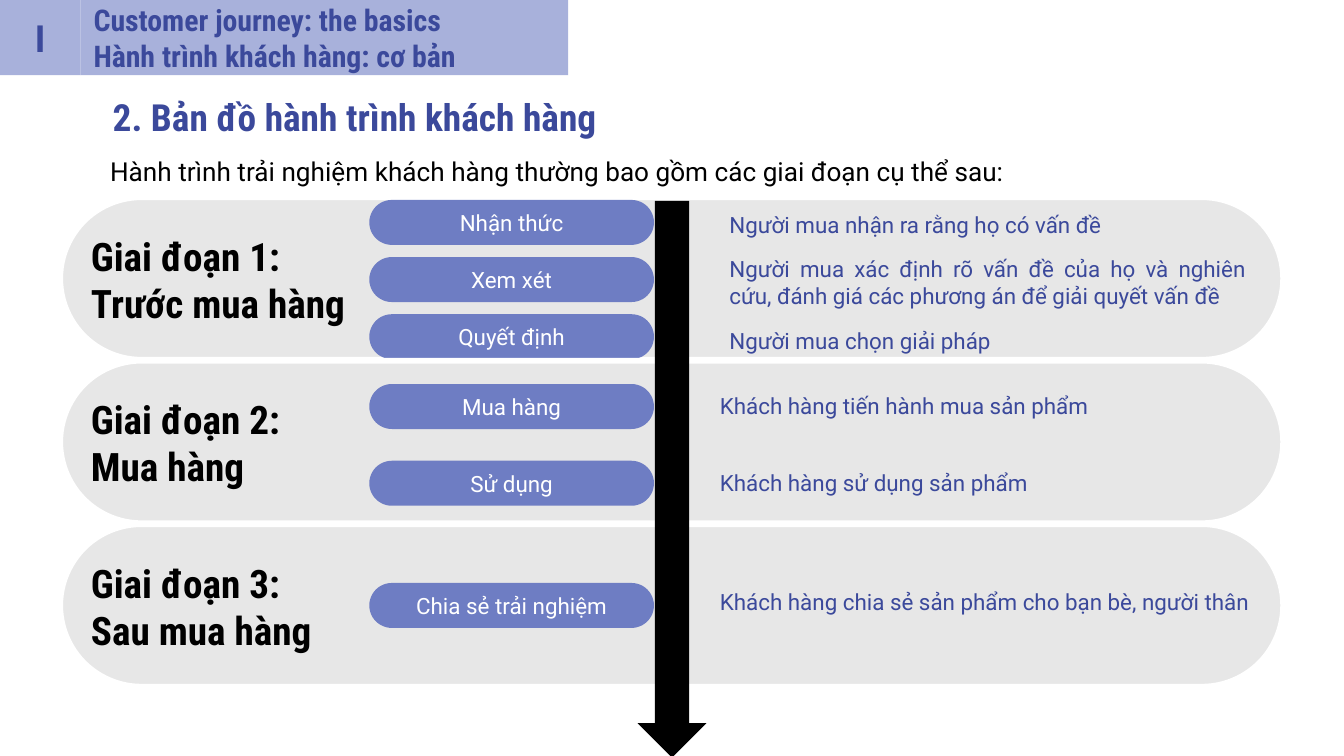
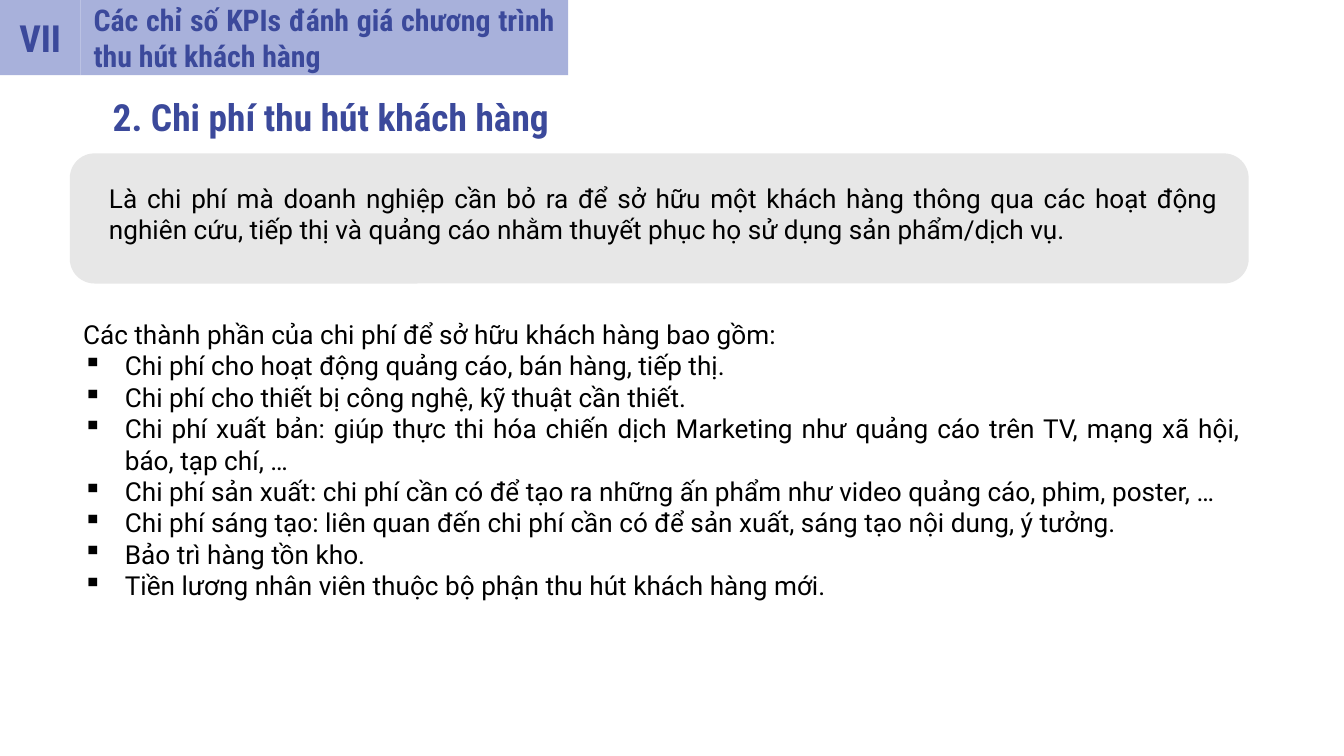
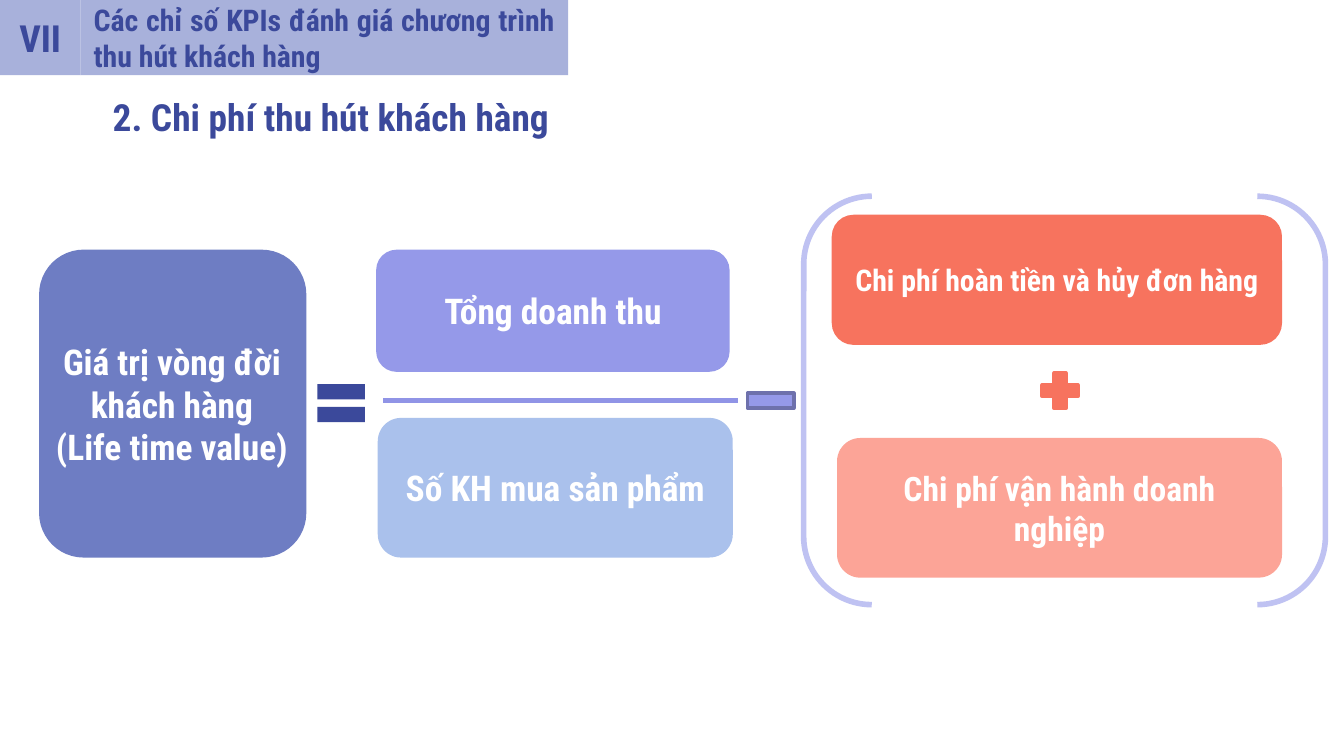
from lxml import etree
from pptx import Presentation
from pptx.dml.color import RGBColor
from pptx.enum.shapes import MSO_CONNECTOR, MSO_SHAPE
from pptx.enum.text import MSO_ANCHOR, MSO_AUTO_SIZE, PP_ALIGN
from pptx.oxml.ns import qn
from pptx.util import Cm, Pt

RECTANGLE, ROUNDED = MSO_SHAPE.RECTANGLE, MSO_SHAPE.ROUNDED_RECTANGLE
LEFT, CENTER, JUSTIFY = PP_ALIGN.LEFT, PP_ALIGN.CENTER, PP_ALIGN.JUSTIFY
MIDDLE, TOP = MSO_ANCHOR.MIDDLE, MSO_ANCHOR.TOP
BODY_FONT, HEADING_FONT = "Roboto", "Roboto Condensed"

NAVY, INDIGO, HEADER, VIOLET = "3B499B", "6E7DC3", "A8B1DB", "9599E9"
SKY, CORAL, SALMON = "AAC1EC", "F7735E", "FCA497"
GREY, BLACK, WHITE = "E7E7E7", "000000", "FFFFFF"

# Content: all positions and lengths are in centimetres
KPI_HEADER = ("VII", ["Các chỉ số KPIs đánh giá chương trình thu hút khách hàng"])
KPI_TITLE = "2. Chi phí thu hút khách hàng"

JOURNEY_HEADER = ("I", ["Customer journey: the basics", "Hành trình khách hàng: cơ bản"])
JOURNEY_TITLE = "2. Bản đồ hành trình khách hàng"
JOURNEY_INTRO = "Hành trình trải nghiệm khách hàng thường bao gồm các giai đoạn cụ thể sau:"
STAGES = [
    {"name": ["Giai đoạn 1:", "Trước mua hàng"],
     "pill_top": 3.78, "pill_step": 1.08,
     "note_left": 13.41, "note_top": 3.81, "note_width": 10.52, "note_step": 1.1,
     "steps": [
         ("Nhận thức", "Người mua nhận ra rằng họ có vấn đề"),
         ("Xem xét", "Người mua xác định rõ vấn đề của họ và nghiên cứu, "
                     "đánh giá các phương án để giải quyết vấn đề"),
         ("Quyết định", "Người mua chọn giải pháp")]},
    {"name": ["Giai đoạn 2:", "Mua hàng"],
     "pill_top": 7.26, "pill_step": 1.45,
     "note_left": 13.23, "note_top": 7.24, "note_width": 10.69, "note_step": 1.45,
     "steps": [
         ("Mua hàng", "Khách hàng tiến hành mua sản phẩm"),
         ("Sử dụng", "Khách hàng sử dụng sản phẩm")]},
    {"name": ["Giai đoạn 3:", "Sau mua hàng"],
     "pill_top": 11.02, "pill_step": 0,
     "note_left": 13.23, "note_top": 10.95, "note_width": 10.82, "note_step": 0,
     "steps": [
         ("Chia sẻ trải nghiệm", "Khách hàng chia sẻ sản phẩm cho bạn bè, người thân")]},
]

COST_DEFINITION = ("Là chi phí mà doanh nghiệp cần bỏ ra để sở hữu một khách hàng thông qua "
                   "các hoạt động nghiên cứu, tiếp thị và quảng cáo nhằm thuyết phục họ sử dụng "
                   "sản phẩm/dịch vụ.")
COST_LEAD = "Các thành phần của chi phí để sở hữu khách hàng bao gồm:"
COST_PARTS = [
    "Chi phí cho hoạt động quảng cáo, bán hàng, tiếp thị.",
    "Chi phí cho thiết bị công nghệ, kỹ thuật cần thiết.",
    "Chi phí xuất bản: giúp thực thi hóa chiến dịch Marketing như quảng cáo trên TV, "
    "mạng xã hội, báo, tạp chí, …",
    "Chi phí sản xuất: chi phí cần có để tạo ra những ấn phẩm như video quảng cáo, "
    "phim, poster, …",
    "Chi phí sáng tạo: liên quan đến chi phí cần có để sản xuất, sáng tạo nội dung, ý tưởng.",
    "Bảo trì hàng tồn kho.",
    "Tiền lương nhân viên thuộc bộ phận thu hút khách hàng mới.",
]

LIFETIME_VALUE = ["Giá trị vòng đời khách hàng", "(Life time value)"]
# text, box, fill, text size
FORMULA_TERMS = [
    ("Tổng doanh thu", (7.11, 4.72, 6.68, 2.31), VIOLET, 19),
    ("Số KH mua sản phẩm", (7.14, 7.9, 6.71, 2.64), SKY, 19),
    ("Chi phí hoàn tiền và hủy đơn hàng", (15.72, 4.06, 8.51, 2.46), CORAL, 16),
    ("Chi phí vận hành doanh nghiệp", (15.82, 8.28, 8.41, 2.64), SALMON, 18),
]
# preset, box, fill, line colour, line width
FORMULA_SIGNS = [
    (MSO_SHAPE.MATH_EQUAL, (5.84, 7.01, 1.22, 1.22), NAVY, None, 0),
    (MSO_SHAPE.MATH_MINUS, (13.97, 6.98, 1.19, 1.19), VIOLET, "6E71AC", 2),
    (MSO_SHAPE.MATH_PLUS, (19.58, 6.93, 0.91, 0.91), CORAL, CORAL, 2),
    (MSO_SHAPE.DOUBLE_BRACKET, (15.19, 3.71, 9.86, 7.72), None, "BFC2F2", 3),
]


def color(hex_code):
    return RGBColor.from_string(hex_code)


def write(shape, lines, size, ink, font=HEADING_FONT, align=LEFT, anchor=MIDDLE,
          insets=(0.25, 0.25, 0.25, 0.25), indent=0):
    frame = shape.text_frame
    frame.word_wrap = True
    frame.vertical_anchor = anchor
    (frame.margin_left, frame.margin_top,
     frame.margin_right, frame.margin_bottom) = map(Cm, insets)
    for index, line in enumerate(lines):
        paragraph = frame.paragraphs[0] if index == 0 else frame.add_paragraph()
        paragraph.text = line
        paragraph.alignment = align
        if indent:
            paragraph._p.get_or_add_pPr().set("marL", str(Cm(indent)))
        paragraph.font.name = font
        paragraph.font.size = Pt(size)
        paragraph.font.bold = font == HEADING_FONT
        paragraph.font.color.rgb = color(ink)
    return frame


def add_shape(slide, preset, box, fill=None, line=None, line_width=0, adjustment=None):
    shape = slide.shapes.add_shape(preset, *map(Cm, box))
    shape.shadow.inherit = False
    if fill:
        shape.fill.solid()
        shape.fill.fore_color.rgb = color(fill)
    else:
        shape.fill.background()
    if line:
        shape.line.color.rgb = color(line)
        shape.line.width = Pt(line_width)
    else:
        shape.line.fill.background()
    if adjustment is not None:
        shape.adjustments[0] = adjustment
    return shape


def add_text(slide, box, lines, size, ink, **style):
    return write(slide.shapes.add_textbox(*map(Cm, box)), lines, size, ink, **style)


def add_body(slide, box, text):
    add_text(slide, box, [text], 14, BLACK, font=BODY_FONT, align=JUSTIFY,
             insets=(0.51, 0.25, 0.38, 0.25), indent=0.43)


def add_bullet(paragraph):
    properties = paragraph._p.get_or_add_pPr()
    properties.set("marL", str(Cm(0.79)))
    properties.set("indent", str(Cm(-0.79)))
    bullet_color = etree.Element(qn("a:buClr"))
    etree.SubElement(bullet_color, qn("a:srgbClr")).set("val", BLACK)
    bullet = etree.Element(qn("a:buChar"))
    bullet.set("char", "▪")
    properties.insert(0, bullet_color)
    properties.insert(1, bullet)


def start_slide(presentation, header, title, title_width=19.38):
    slide = presentation.slides.add_slide(presentation.slide_layouts[6])
    number, lines = header
    write(add_shape(slide, RECTANGLE, (0, 0, 1.52, 1.42), HEADER), [number], 20, NAVY,
          align=CENTER)
    write(add_shape(slide, RECTANGLE, (1.52, 0, 9.22, 1.42), HEADER), lines, 16, NAVY,
          align=JUSTIFY)
    add_text(slide, (1.88, 1.6, title_width, 1.19), [title], 20, NAVY)
    return slide


def build_journey(presentation):
    slide = start_slide(presentation, JOURNEY_HEADER, JOURNEY_TITLE, 11.96)
    add_body(slide, (1.14, 2.74, 22.28, 0.97), JOURNEY_INTRO)

    # One band per stage, with its pills and notes
    for row, stage in enumerate(STAGES):
        top = 3.73 + row * 3.09
        add_shape(slide, ROUNDED, (1.14, top, 23.11, 3.07), GREY, WHITE, 3, 0.5)
        add_text(slide, (1.47, top + 1.12, 5.51, 0.86), stage["name"], 21, BLACK)
        for index, (name, note) in enumerate(stage["steps"]):
            pill_top = stage["pill_top"] + index * stage["pill_step"]
            pill = add_shape(slide, ROUNDED, (6.98, pill_top, 5.38, 0.85), INDIGO,
                             adjustment=0.5)
            write(pill, [name], 12, WHITE, font=BODY_FONT, align=CENTER)
            note_top = stage["note_top"] + index * stage["note_step"]
            note_box = add_shape(
                slide, ROUNDED,
                (stage["note_left"], note_top, stage["note_width"], 0.86), adjustment=0.5)
            write(note_box, [note], 12, NAVY, font=BODY_FONT, align=JUSTIFY)

    # Arrow through all stages
    arrow = add_shape(slide, MSO_SHAPE.RIGHT_ARROW, (7.44, 8.41, 10.52, 1.3), BLACK)
    arrow.rotation = 90


def build_cost(presentation):
    slide = start_slide(presentation, KPI_HEADER, KPI_TITLE)
    add_shape(slide, ROUNDED, (1.32, 2.9, 22.28, 2.46), GREY, adjustment=0.19)
    add_body(slide, (1.12, 3.05, 22.28, 1.98), COST_DEFINITION)

    # Cost components
    frame = add_text(slide, (1.32, 5.89, 22.38, 5.64), [COST_LEAD, *COST_PARTS], 14, BLACK,
                     font=BODY_FONT, align=JUSTIFY, anchor=TOP,
                     insets=(0.25, 0.13, 0.25, 0.13))
    frame.auto_size = MSO_AUTO_SIZE.SHAPE_TO_FIT_TEXT
    for paragraph in frame.paragraphs[1:]:
        add_bullet(paragraph)


def build_formula(presentation):
    slide = start_slide(presentation, KPI_HEADER, KPI_TITLE)
    for text, box, fill, size in FORMULA_TERMS:
        write(add_shape(slide, ROUNDED, box, fill), [text], size, WHITE, align=CENTER)

    # Result of the formula
    add_shape(slide, ROUNDED, (0.74, 4.72, 5.05, 5.82), INDIGO)
    add_text(slide, (0.53, 6.32, 5.44, 2.64), LIFETIME_VALUE, 19, WHITE, align=CENTER)

    # Operators, brackets and fraction bar
    for sign in FORMULA_SIGNS:
        add_shape(slide, *sign)
    bar = slide.shapes.add_connector(MSO_CONNECTOR.STRAIGHT,
                                     Cm(7.24), Cm(7.57), Cm(13.94), Cm(7.57))
    bar.line.color.rgb = color("9094E6")
    bar.line.width = Pt(2.25)
    etree.SubElement(bar._element.spPr, qn("a:effectLst"))


def main():
    presentation = Presentation()
    presentation.slide_width = Cm(25.4)
    presentation.slide_height = Cm(14.29)
    build_journey(presentation)
    build_cost(presentation)
    build_formula(presentation)
    presentation.save("out.pptx")


if __name__ == "__main__":
    main()
